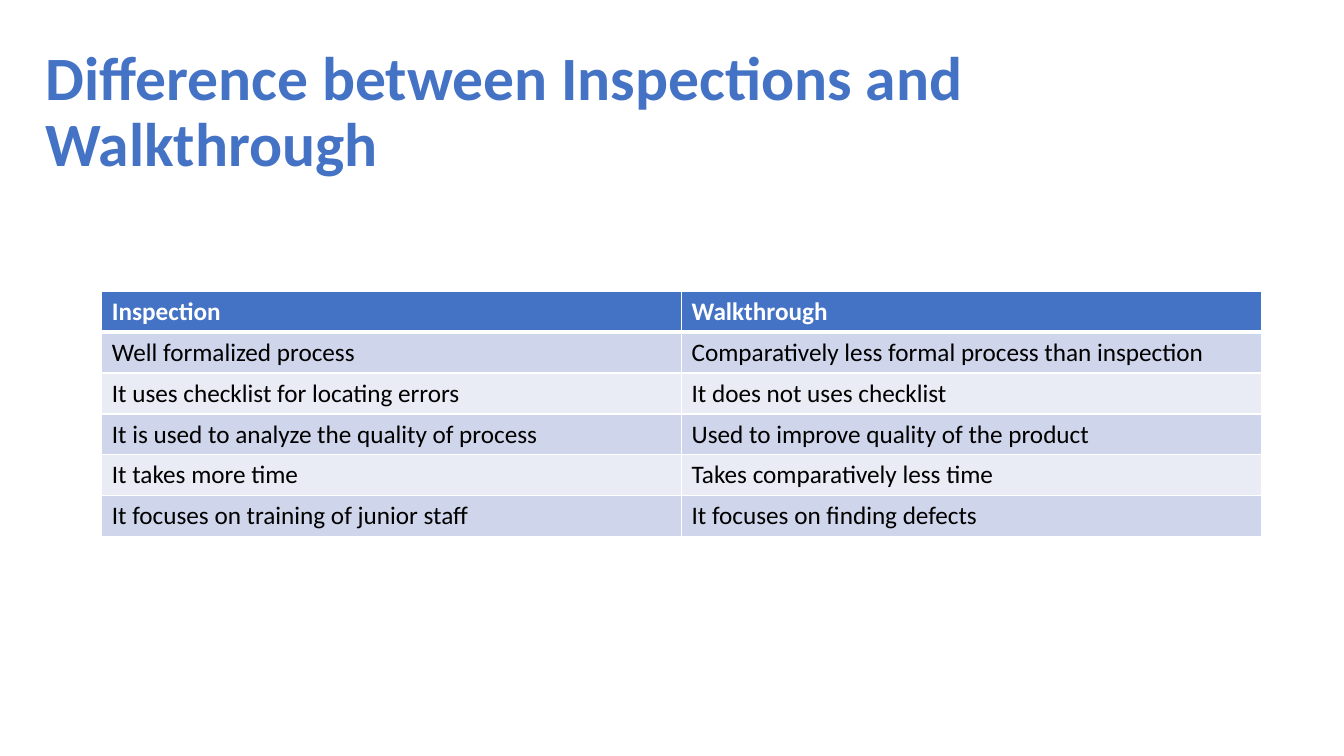
from lxml import etree
from pptx import Presentation
from pptx.dml.color import RGBColor
from pptx.enum.text import MSO_ANCHOR, MSO_AUTO_SIZE, PP_ALIGN
from pptx.oxml.ns import qn
from pptx.util import Inches, Pt

LEFT = PP_ALIGN.LEFT
MIDDLE = MSO_ANCHOR.MIDDLE
NO_AUTOFIT = MSO_AUTO_SIZE.NONE
TITLE_ONLY = 5

FONT = "Calibri"
COLORS = {
    "accent": "4472C4",
    "band_dark": "CFD5EA",
    "band_light": "E9EBF5",
    "white": "FFFFFF",
    "black": "000000",
}
ROWS = [
    ("Inspection", "Walkthrough"),
    ("Well formalized process", "Comparatively less formal process than inspection"),
    ("It uses checklist for locating errors", "It does not uses checklist"),
    ("It is used to analyze the quality of process",
     "Used to improve quality of the product"),
    ("It takes more time", "Takes comparatively less time"),
    ("It focuses on training of junior staff", "It focuses on finding defects"),
]


def rgb(name):
    return RGBColor.from_string(COLORS[name])


def format_text(tf, size, color, bold):
    for p in tf.paragraphs:
        p.alignment = LEFT
        for r in p.runs:
            r.font.name = FONT
            r.font.size = Pt(size)
            r.font.bold = bold
            r.font.color.rgb = rgb(color)


def set_borders(cell, widths):
    """Draw white borders; widths maps a:ln tags, in schema order, to points."""
    tcPr = cell._tc.get_or_add_tcPr()
    for i, (tag, width) in enumerate(widths.items()):
        ln = etree.Element(qn(tag), w=str(Pt(width)))
        fill = etree.SubElement(ln, qn("a:solidFill"))
        etree.SubElement(fill, qn("a:srgbClr"), val=COLORS["white"])
        tcPr.insert(i, ln)


def add_title(slide, text):
    sp = slide.shapes.title
    sp.left, sp.top = Inches(0.35), Inches(0.4)
    sp.width, sp.height = Inches(12.46), Inches(1.45)
    tf = sp.text_frame
    tf.text = text
    tf.word_wrap = True
    tf.auto_size = NO_AUTOFIT
    tf.vertical_anchor = MIDDLE
    tf.paragraphs[0].line_spacing = 0.9
    format_text(tf, 44, "accent", True)


def add_comparison_table(slide, rows):
    table = slide.shapes.add_table(
        len(rows), len(rows[0]),
        Inches(1.01), Inches(2.89), Inches(11.5), Inches(2.43)).table
    for i, row in enumerate(rows):
        header = i == 0
        band = "band_dark" if i % 2 else "band_light"
        for j, text in enumerate(row):
            cell = table.cell(i, j)
            cell.text_frame.text = text
            format_text(cell.text_frame, 18, "white" if header else "black", header)
            cell.fill.solid()
            cell.fill.fore_color.rgb = rgb("accent" if header else band)
            set_borders(cell, {"a:lnL": 1, "a:lnR": 1,
                               "a:lnT": 3 if i == 1 else 1,
                               "a:lnB": 3 if header else 1})


def main():
    prs = Presentation()
    prs.slide_width, prs.slide_height = Inches(13.33), Inches(7.5)
    slide = prs.slides.add_slide(prs.slide_layouts[TITLE_ONLY])
    add_title(slide, "Difference between Inspections and Walkthrough")
    add_comparison_table(slide, ROWS)
    prs.save("out.pptx")


if __name__ == "__main__":
    main()
